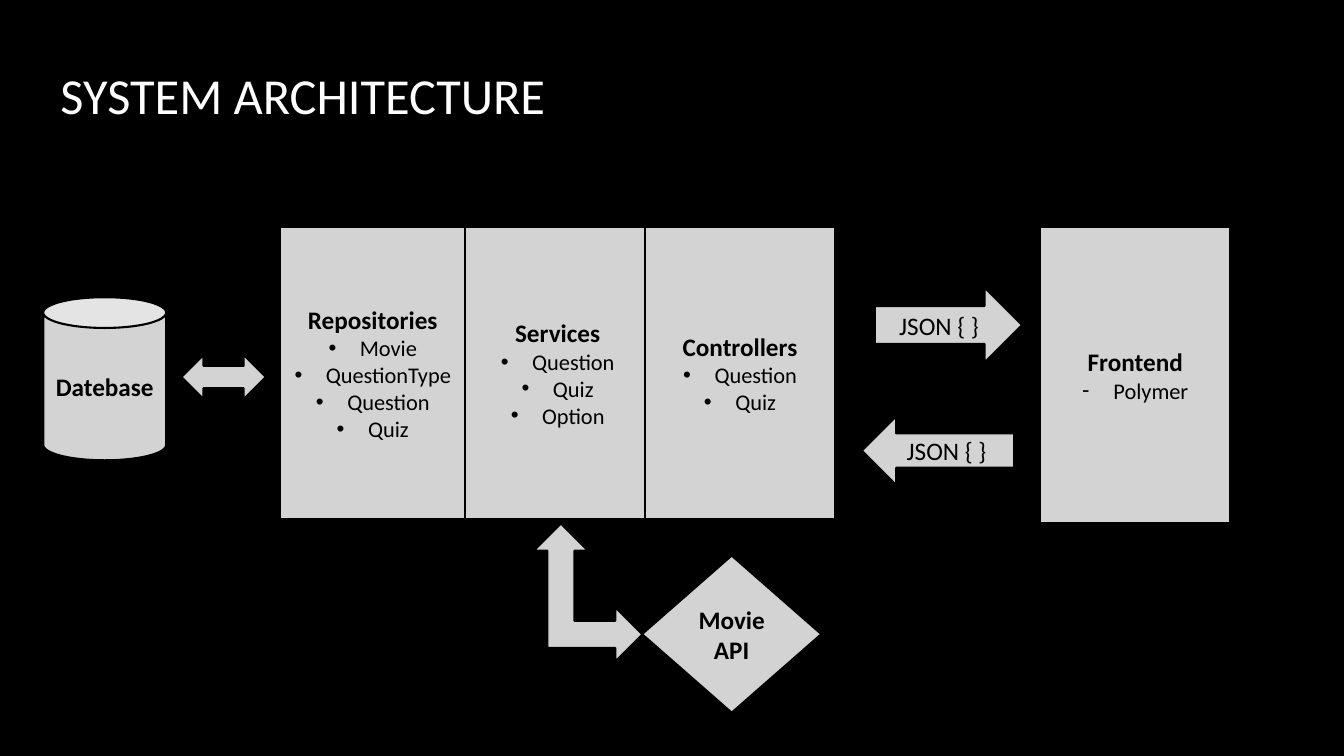
from dataclasses import dataclass

from lxml.etree import SubElement
from pptx import Presentation
from pptx.dml.color import RGBColor
from pptx.enum.shapes import MSO_SHAPE as Preset
from pptx.enum.text import MSO_ANCHOR as Anchor, MSO_AUTO_SIZE as AutoSize, PP_ALIGN as Align
from pptx.oxml.ns import qn
from pptx.shapes.shapetree import _BaseGroupShapes as ShapeTree
from pptx.slide import Slide
from pptx.text.text import TextFrame, _Paragraph as Paragraph
from pptx.util import Cm, Pt

BLACK = RGBColor(0x00, 0x00, 0x00)
WHITE = RGBColor(0xFF, 0xFF, 0xFF)
GREY = RGBColor(0xD3, 0xD3, 0xD3)

LAYER_TOP = 5.72
LAYER_HEIGHT = 7.37
LIST_INDENT = Cm(0.79)

HEADING = {"name": "Calibri", "size": Pt(18), "bold": True}
LABEL = {**HEADING, "bold": False}
ITEM = {**LABEL, "size": Pt(16)}
TITLE = {**LABEL, "size": Pt(36)}


@dataclass(frozen=True)
class Node:
    """One part of the architecture, measured in centimetres."""
    preset: Preset
    left: float
    top: float
    width: float
    height: float
    text: str = ""
    items: tuple[str, ...] = ()
    bullet: str = "•"
    text_format: dict | None = None
    rotation: float = 0


def layer(left: float, width: float, text: str, *items: str) -> Node:
    return Node(Preset.RECTANGLE, left, LAYER_TOP, width, LAYER_HEIGHT, text, items)


# Backend layers, from back to front
LAYERS = (
    layer(11.73, 4.65, "Services", "Question", "Quiz", "Option"),
    layer(16.26, 4.78, "Controllers", "Question", "Quiz"),
    layer(7.06, 4.67, "Repositories", "Movie", "QuestionType", "Question", "Quiz"),
)

# Systems around the backend, and the arrows between them
SURROUNDINGS = (
    Node(Preset.RECTANGLE, 26.21, LAYER_TOP, 4.8, 7.47, "Frontend", ("Polymer",), "-"),
    Node(Preset.CAN, 1.09, 7.49, 3.1, 4.11, "Datebase"),
    Node(Preset.DIAMOND, 16.18, 14, 4.52, 3.96, "Movie API"),
    Node(Preset.RIGHT_ARROW, 22.05, 7.24, 3.71, 1.9, "JSON { }", text_format=LABEL),
    Node(Preset.LEFT_ARROW, 21.72, 10.49, 3.84, 1.73, "JSON { }", text_format=LABEL),
    Node(Preset.LEFT_UP_ARROW, 13.08, 13.56, 3.48, 2.74, rotation=90),
    Node(Preset.LEFT_RIGHT_ARROW, 4.57, 8.94, 2.13, 1.12),
)


def write(paragraph: Paragraph, text: str, text_format: dict,
          color: RGBColor, alignment: Align) -> None:
    paragraph.alignment = alignment
    run = paragraph.add_run()
    run.text = text
    for name, value in text_format.items():
        setattr(run.font, name, value)
    run.font.color.rgb = color


def add_bullet(paragraph: Paragraph, character: str) -> None:
    properties = paragraph._p.get_or_add_pPr()
    properties.set("marL", str(LIST_INDENT))
    properties.set("indent", str(-LIST_INDENT))
    SubElement(properties, qn("a:buFont"), typeface="Arial")
    SubElement(properties, qn("a:buChar"), char=character)


def fill_text(frame: TextFrame, node: Node) -> None:
    frame.word_wrap = True
    frame.vertical_anchor = Anchor.MIDDLE
    write(frame.paragraphs[0], node.text, node.text_format or HEADING, BLACK, Align.CENTER)
    for item in node.items:
        paragraph = frame.add_paragraph()
        write(paragraph, item, ITEM, BLACK, Align.CENTER)
        add_bullet(paragraph, node.bullet)


def draw_node(shapes: ShapeTree, node: Node) -> None:
    shape = shapes.add_shape(node.preset, Cm(node.left), Cm(node.top),
                             Cm(node.width), Cm(node.height))
    shape.rotation = node.rotation
    shape.shadow.inherit = False
    shape.fill.solid()
    shape.fill.fore_color.rgb = GREY
    shape.line.color.rgb = BLACK
    shape.line.width = Pt(1.5)
    if node.text:
        fill_text(shape.text_frame, node)


def draw_title(slide: Slide, text: str) -> None:
    title = slide.shapes.title
    placement = {"left": Cm(1.27), "top": Cm(0.36), "width": Cm(28.14), "height": Cm(4.04)}
    for name, value in placement.items():
        setattr(title, name, value)
    frame = title.text_frame
    frame.auto_size = AutoSize.NONE
    frame.vertical_anchor = Anchor.MIDDLE
    write(frame.paragraphs[0], text, TITLE, WHITE, Align.LEFT)


def main() -> None:
    presentation = Presentation()
    presentation.slide_width = Cm(33.87)
    presentation.slide_height = Cm(19.05)
    slide = presentation.slides.add_slide(presentation.slide_layouts.get_by_name("Title Only"))
    slide.background.fill.solid()
    slide.background.fill.fore_color.rgb = BLACK

    draw_title(slide, "SYSTEM ARCHITECTURE")
    backend = slide.shapes.add_group_shape()
    for node in LAYERS:
        draw_node(backend.shapes, node)
    for node in SURROUNDINGS:
        draw_node(slide.shapes, node)

    presentation.save("out.pptx")


if __name__ == "__main__":
    main()
